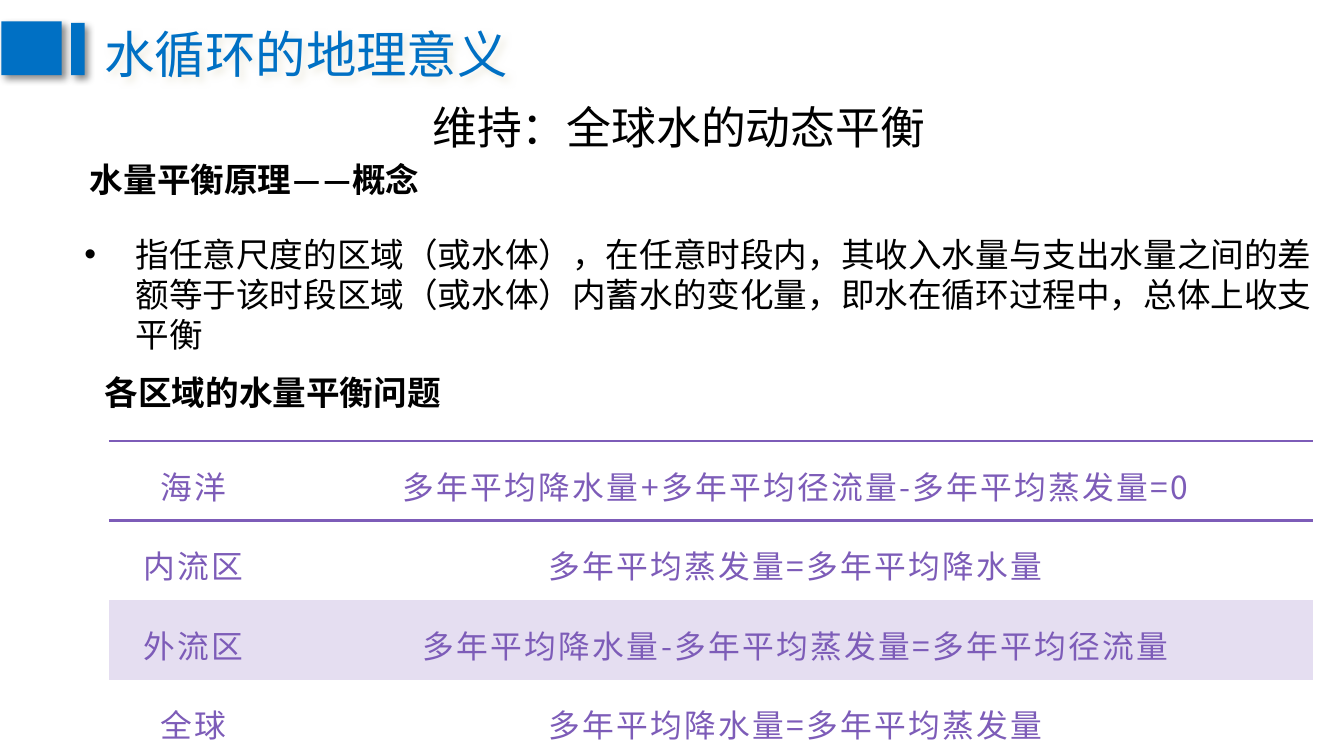
from dataclasses import dataclass
from typing import NamedTuple

from lxml import etree
from pptx import Presentation
from pptx import util as u
from pptx.dml.color import RGBColor
from pptx.enum import lang, shapes, text
from pptx.oxml import parse_xml
from pptx.oxml.ns import nsdecls, qn

UNIT = u.Inches(0.1)  # the page is a grid of 100 columns by 56.25 rows
PAGE_COLUMNS, PAGE_ROWS = 100, 56.25
NO_TABLE_STYLE = "{2D5ABB26-0587-4C30-8999-92F81FD0307C}"


@dataclass(frozen=True)
class Theme:
    ink: str = "000000"
    blue: str = "0070C4"
    purple: str = "7D5CB8"
    lilac: str = "E5DEF1"
    white: str = "FFFFFF"
    glow: str = "EEECE1"
    latin: str = "Calibri"
    chinese: str = "Noto Sans CJK SC"
    topic: float = 27
    title: float = 24
    body: float = 18
    cell: float = 17
    rule: float = 1.5
    tracking: float = 1.2


THEME = Theme()


class Area(NamedTuple):
    column: float
    row: float
    columns: float
    rows: float

    def lengths(self) -> list[int]:
        return [round(value * UNIT) for value in self]


@dataclass(frozen=True)
class Label:
    words: str
    area: Area
    size: float = THEME.body
    font: str = THEME.latin
    color: str = THEME.ink
    bold: bool = False
    anchor: text.MSO_ANCHOR = text.MSO_ANCHOR.TOP
    align: text.PP_ALIGN = text.PP_ALIGN.LEFT
    bullet: bool = False
    wrap: bool = True
    glow: bool = False


HEADING = {"bold": True, "anchor": text.MSO_ANCHOR.BOTTOM}
LABELS = (
    Label("维持：全球水的动态平衡", Area(5.5, 6.5, 90, 5.8), size=THEME.title,
          anchor=text.MSO_ANCHOR.MIDDLE, align=text.PP_ALIGN.CENTER),
    Label("水量平衡原理——概念", Area(5.7, 12.2, 43.8, 3.1), **HEADING),
    Label("指任意尺度的区域（或水体），在任意时段内，其收入水量与支出水量之间的差额等于该时段区域"
          "（或水体）内蓄水的变化量，即水在循环过程中，总体上收支平衡",
          Area(5.3, 16.9, 94.5, 12.6), bullet=True),
    Label("各区域的水量平衡问题", Area(6.8, 28.1, 43.8, 3.1), **HEADING),
    Label("水循环的地理意义", Area(6.8, 1.2, 32.3, 5.6), size=THEME.topic,
          font=THEME.chinese, color=THEME.blue, wrap=False, glow=True),
)
MARKERS = (Area(0.1, 1.6, 4.5, 4), Area(5.3, 1.7, 1, 3.9))

TABLE_AREA = Area(8.1, 32.8, 89.6, 20.4)
COLUMN_WIDTHS = (12.6, 77)
BALANCES = (
    ("海洋", "多年平均降水量+多年平均径流量-多年平均蒸发量=0"),
    ("内流区", "多年平均蒸发量=多年平均降水量"),
    ("外流区", "多年平均降水量-多年平均蒸发量=多年平均径流量"),
    ("全球", "多年平均降水量=多年平均蒸发量"),
)
SHADED_ROW = 2
RULED_EDGES = {0, 1, len(BALANCES)}  # edge n lies above row n


def set_values(target, values: dict) -> None:
    for name, value in values.items():
        setattr(target, name, value)


def write(para, words: str, size: float, font: str, color: str,
          bold: bool = False, tracking: float = 0) -> None:
    span = para.add_run()
    span.text = words
    set_values(span.font, {"size": u.Pt(size), "name": font, "bold": bold,
                           "language_id": lang.MSO_LANGUAGE_ID.SIMPLIFIED_CHINESE})
    span.font.color.rgb = RGBColor.from_string(color)
    properties = span.font._element
    etree.SubElement(properties, qn("a:ea"), typeface=font)
    if tracking:
        properties.set("spc", str(round(tracking * 100)))


def add_shadow(shape, color: str, opacity: int) -> None:
    shape._element.spPr.append(parse_xml(
        f'<a:effectLst {nsdecls("a")}><a:outerShdw blurRad="{u.Pt(4)}" dist="{u.Pt(3)}" '
        f'dir="2700000" algn="tl" rotWithShape="0"><a:srgbClr val="{color}">'
        f'<a:alpha val="{opacity * 1000}"/></a:srgbClr></a:outerShdw></a:effectLst>'))


def add_bullet(para) -> None:
    properties = para._p.get_or_add_pPr()
    indent = u.Inches(0.38)
    properties.set("marL", str(indent))
    properties.set("indent", str(-indent))
    etree.SubElement(properties, qn("a:buFont"), typeface="Arial")
    etree.SubElement(properties, qn("a:buChar"), char="•")


def add_label(page, label: Label) -> None:
    box = page.shapes.add_textbox(*label.area.lengths())
    set_values(box.text_frame, {"word_wrap": label.wrap, "vertical_anchor": label.anchor})
    para = box.text_frame.paragraphs[0]
    para.alignment = label.align
    if label.bullet:
        add_bullet(para)
    write(para, label.words, label.size, label.font, label.color, label.bold)
    if label.glow:
        add_shadow(box, THEME.glow, 100)


def add_marker(page, area: Area) -> None:
    marker = page.shapes.add_shape(shapes.MSO_SHAPE.RECTANGLE, *area.lengths())
    marker.fill.solid()
    marker.fill.fore_color.rgb = RGBColor.from_string(THEME.blue)
    marker.line.fill.background()
    add_shadow(marker, THEME.ink, 45)


def add_edges(cell, row: int) -> None:
    """Rule the top and bottom of a cell, or clear them where no rule belongs."""
    for position, side in enumerate(("lnT", "lnB")):
        paint = "<a:noFill/>"
        if row + position in RULED_EDGES:
            paint = f'<a:solidFill><a:srgbClr val="{THEME.purple}"/></a:solidFill>'
        cell._tc.tcPr.insert(position, parse_xml(
            f'<a:{side} {nsdecls("a")} w="{u.Pt(THEME.rule)}">{paint}</a:{side}>'))


def fill_cell(cell, words: str, row: int) -> None:
    set_values(cell, {"vertical_anchor": text.MSO_ANCHOR.MIDDLE,
                      "margin_left": u.Inches(0.15), "margin_right": u.Inches(0.15),
                      "margin_top": u.Inches(0.09), "margin_bottom": u.Inches(0.09)})
    para = cell.text_frame.paragraphs[0]
    set_values(para, {"alignment": text.PP_ALIGN.CENTER, "line_spacing": 1.2})
    write(para, words, THEME.cell, THEME.chinese, THEME.purple, tracking=THEME.tracking)
    shade = THEME.lilac if row == SHADED_ROW else THEME.white
    cell.fill.solid()
    cell.fill.fore_color.rgb = RGBColor.from_string(shade)
    add_edges(cell, row)


def add_balance_table(page) -> None:
    frame = page.shapes.add_table(len(BALANCES), len(COLUMN_WIDTHS), *TABLE_AREA.lengths())
    table = frame.table
    set_values(table, {"first_row": False, "horz_banding": False})
    table._tbl.tblPr.find(qn("a:tableStyleId")).text = NO_TABLE_STYLE
    for column, width in zip(table.columns, COLUMN_WIDTHS):
        column.width = round(width * UNIT)
    for row, balance in enumerate(BALANCES):
        for cell, words in zip(table.rows[row].cells, balance):
            fill_cell(cell, words, row)


def main() -> None:
    deck = Presentation()
    set_values(deck, {"slide_width": round(PAGE_COLUMNS * UNIT),
                      "slide_height": round(PAGE_ROWS * UNIT)})
    page = deck.slides.add_slide(deck.slide_layouts[6])
    add_balance_table(page)
    for label in LABELS:
        add_label(page, label)
    for area in MARKERS:
        add_marker(page, area)
    deck.save("out.pptx")


if __name__ == "__main__":
    main()
